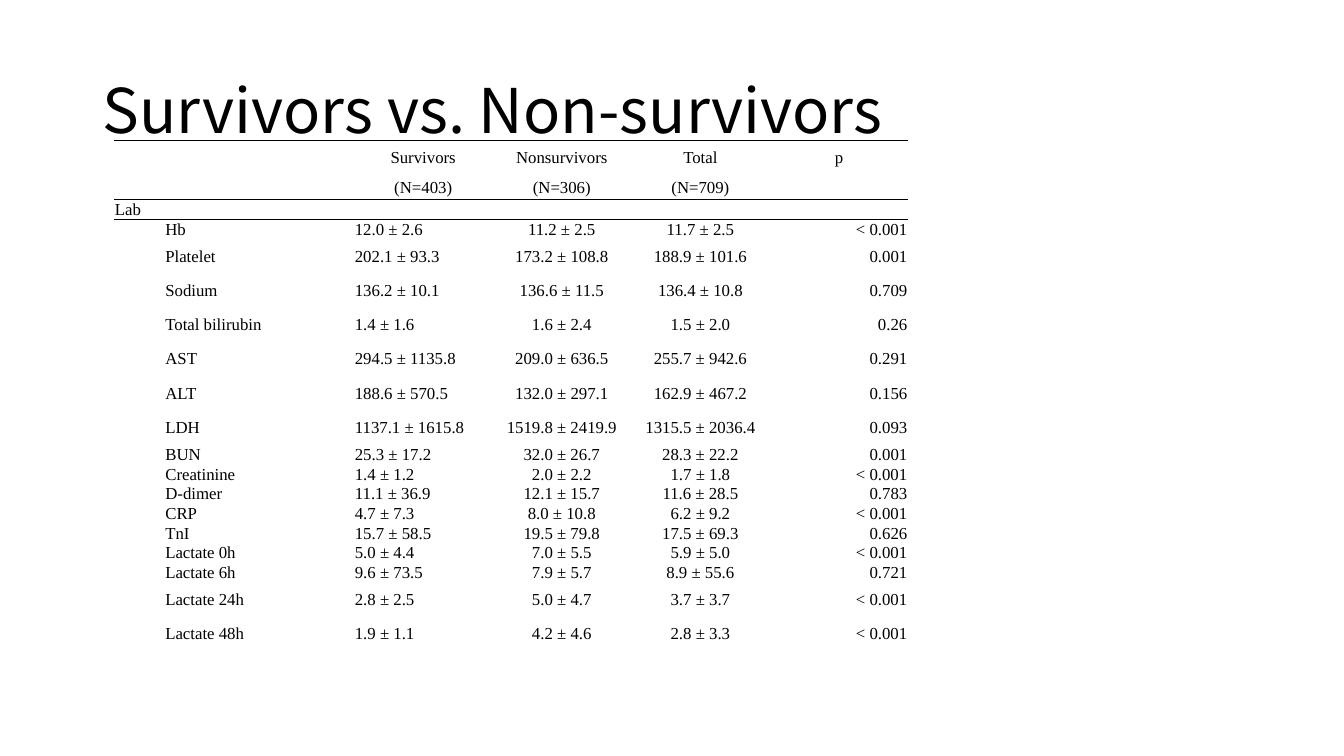
from lxml import etree
from pptx import Presentation
from pptx.dml.color import RGBColor
from pptx.enum.text import MSO_ANCHOR, PP_ALIGN
from pptx.oxml.ns import qn
from pptx.util import Inches, Pt

LEFT, CENTER, RIGHT = PP_ALIGN.LEFT, PP_ALIGN.CENTER, PP_ALIGN.RIGHT
MIDDLE = MSO_ANCHOR.MIDDLE
TITLE_ONLY = 5
NO_STYLE = "{2D5ABB26-0587-4C30-8999-92F81FD0307C}"

HEADERS = [
    ("", "Survivors", "Nonsurvivors", "Total", "p"),
    ("", "(N=403)", "(N=306)", "(N=709)", ""),
]
SECTION = ("Lab", "", "", "", "")
LABS = [
    ("Hb", "12.0 ± 2.6", "11.2 ± 2.5", "11.7 ± 2.5", "< 0.001"),
    ("Platelet", "202.1 ± 93.3", "173.2 ± 108.8", "188.9 ± 101.6", "0.001"),
    ("Sodium", "136.2 ± 10.1", "136.6 ± 11.5", "136.4 ± 10.8", "0.709"),
    ("Total bilirubin", "1.4 ± 1.6", "1.6 ± 2.4", "1.5 ± 2.0", "0.26"),
    ("AST", "294.5 ± 1135.8", "209.0 ± 636.5", "255.7 ± 942.6", "0.291"),
    ("ALT", "188.6 ± 570.5", "132.0 ± 297.1", "162.9 ± 467.2", "0.156"),
    ("LDH", "1137.1 ± 1615.8", "1519.8 ± 2419.9", "1315.5 ± 2036.4", "0.093"),
    ("BUN", "25.3 ± 17.2", "32.0 ± 26.7", "28.3 ± 22.2", "0.001"),
    ("Creatinine", "1.4 ± 1.2", "2.0 ± 2.2", "1.7 ± 1.8", "< 0.001"),
    ("D-dimer", "11.1 ± 36.9", "12.1 ± 15.7", "11.6 ± 28.5", "0.783"),
    ("CRP", "4.7 ± 7.3", "8.0 ± 10.8", "6.2 ± 9.2", "< 0.001"),
    ("TnI", "15.7 ± 58.5", "19.5 ± 79.8", "17.5 ± 69.3", "0.626"),
    ("Lactate 0h", "5.0 ± 4.4", "7.0 ± 5.5", "5.9 ± 5.0", "< 0.001"),
    ("Lactate 6h", "9.6 ± 73.5", "7.9 ± 5.7", "8.9 ± 55.6", "0.721"),
    ("Lactate 24h", "2.8 ± 2.5", "5.0 ± 4.7", "3.7 ± 3.7", "< 0.001"),
    ("Lactate 48h", "1.9 ± 1.1", "4.2 ± 4.6", "2.8 ± 3.3", "< 0.001"),
]
TALL, SHORT = 0.34, 0.19
ROW_HEIGHTS = [0.35, 0.24] + [SHORT] * 2 + [TALL] * 6 + [SHORT] * 7 + [TALL] * 2
COLUMN_WIDTHS = [2.38] + [5.5 / 4] * 4
HEADER_ALIGNMENTS = [LEFT] + [CENTER] * 4
BODY_ALIGNMENTS = [LEFT, LEFT, CENTER, CENTER, RIGHT]
RULES = {0: [("a:lnT", 0.5)], 1: [("a:lnB", 1)], 2: [("a:lnT", 1)]}


def color(value):
    return RGBColor.from_string(value)


class SlideBuilder:
    title_font = "Noto Sans CJK KR"
    table_font = "Times New Roman"
    ink = "000000"

    def __init__(self, presentation):
        self.slide = presentation.slides.add_slide(presentation.slide_layouts[TITLE_ONLY])

    def style(self, paragraph, font_name, size, alignment):
        paragraph.alignment = alignment
        paragraph.font.name = font_name
        paragraph.font.size = Pt(size)
        paragraph.font.color.rgb = color(self.ink)

    def title(self, text, left, top, width, height):
        shape = self.slide.shapes.title
        shape.left, shape.top = Inches(left), Inches(top)
        shape.width, shape.height = Inches(width), Inches(height)
        shape.text_frame.text = text
        shape.text_frame.vertical_anchor = MIDDLE
        paragraph = shape.text_frame.paragraphs[0]
        paragraph.line_spacing = 0.9
        self.style(paragraph, self.title_font, 44, LEFT)

    def border(self, cell, edge, width):
        properties = cell._tc.get_or_add_tcPr()
        line = etree.SubElement(properties, qn(edge), w=str(Pt(width)))
        fill = etree.SubElement(line, qn("a:solidFill"))
        etree.SubElement(fill, qn("a:srgbClr"), val=self.ink)

    def cell(self, cell, text, alignment, rules, indented):
        cell.text = text
        cell.vertical_anchor = MIDDLE
        cell.margin_left = cell.margin_right = cell.margin_top = Inches(0.01)
        cell.margin_bottom = 0
        paragraph = cell.text_frame.paragraphs[0]
        self.style(paragraph, self.table_font, 12, alignment)
        if not text:
            etree.SubElement(paragraph._p, qn("a:endParaRPr"), sz="1200")
        if indented:
            paragraph.level = 1
            paragraph_properties = paragraph._p.get_or_add_pPr()
            paragraph_properties.set("marL", str(Inches(0.5)))
            paragraph_properties.set("indent", "0")
        for edge, width in rules:
            self.border(cell, edge, width)
        cell.fill.background()

    def table(self, rows, left, top):
        frame = self.slide.shapes.add_table(
            len(rows), len(COLUMN_WIDTHS), Inches(left), Inches(top),
            Inches(sum(COLUMN_WIDTHS)), Inches(sum(ROW_HEIGHTS)))
        table = frame.table
        table.first_row = table.horz_banding = False
        table._tbl.tblPr.find(qn("a:tableStyleId")).text = NO_STYLE
        for column, width in zip(table.columns, COLUMN_WIDTHS):
            column.width = Inches(width)
        for row, height in zip(table.rows, ROW_HEIGHTS):
            row.height = Inches(height)
        for row_index, values in enumerate(rows):
            is_header = row_index < len(HEADERS)
            alignments = HEADER_ALIGNMENTS if is_header else BODY_ALIGNMENTS
            for column_index, text in enumerate(values):
                indented = column_index == 0 and row_index > len(HEADERS)
                self.cell(table.cell(row_index, column_index), text,
                          alignments[column_index], RULES.get(row_index, []), indented)


def main():
    presentation = Presentation()
    presentation.slide_width, presentation.slide_height = Inches(13.33), Inches(7.5)
    builder = SlideBuilder(presentation)
    builder.title("Survivors vs. Non-survivors", 0.92, 0.4, 11.5, 1.45)
    builder.table(HEADERS + [SECTION] + LABS, 1.13, 1.39)
    presentation.save("out.pptx")


if __name__ == "__main__":
    main()
